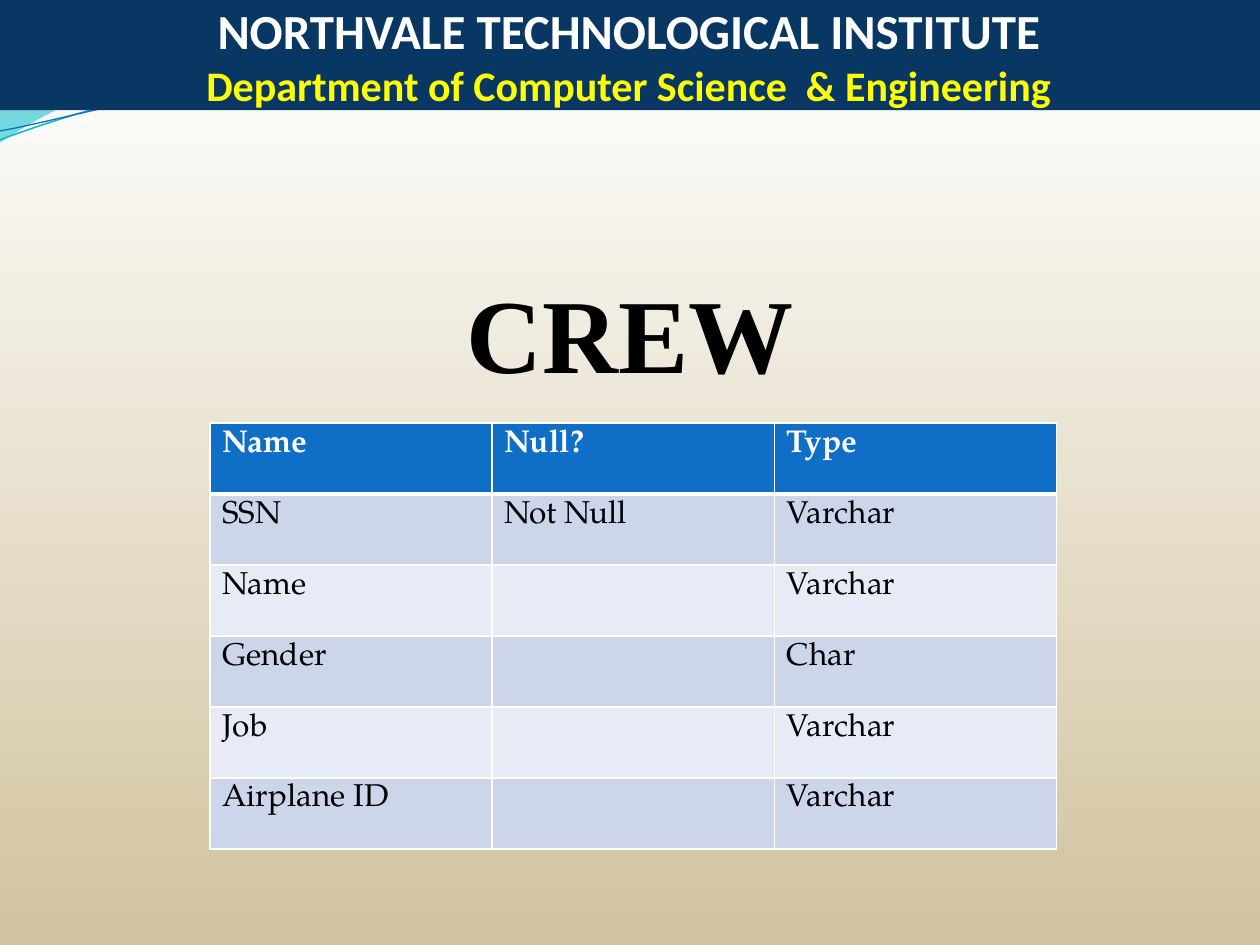
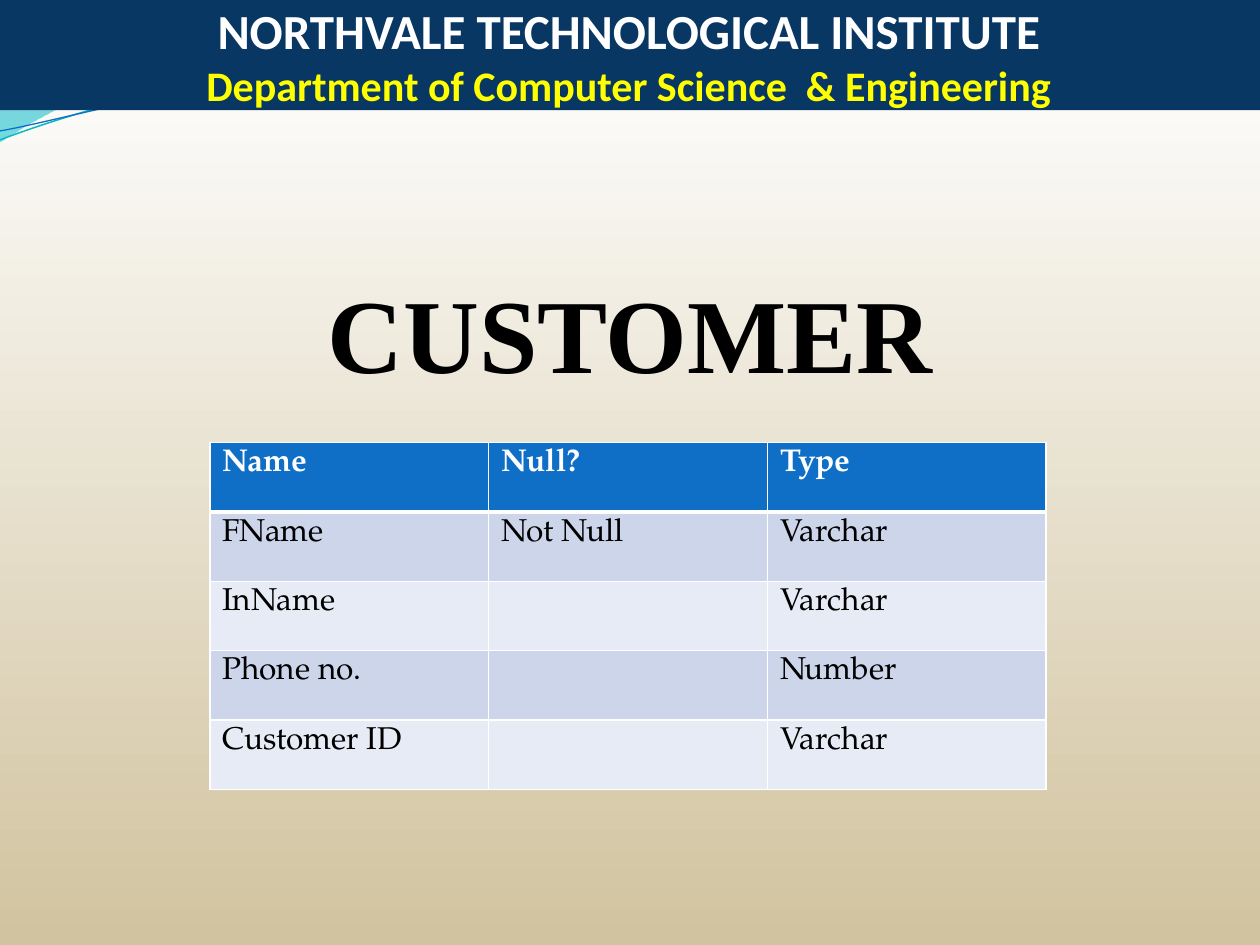
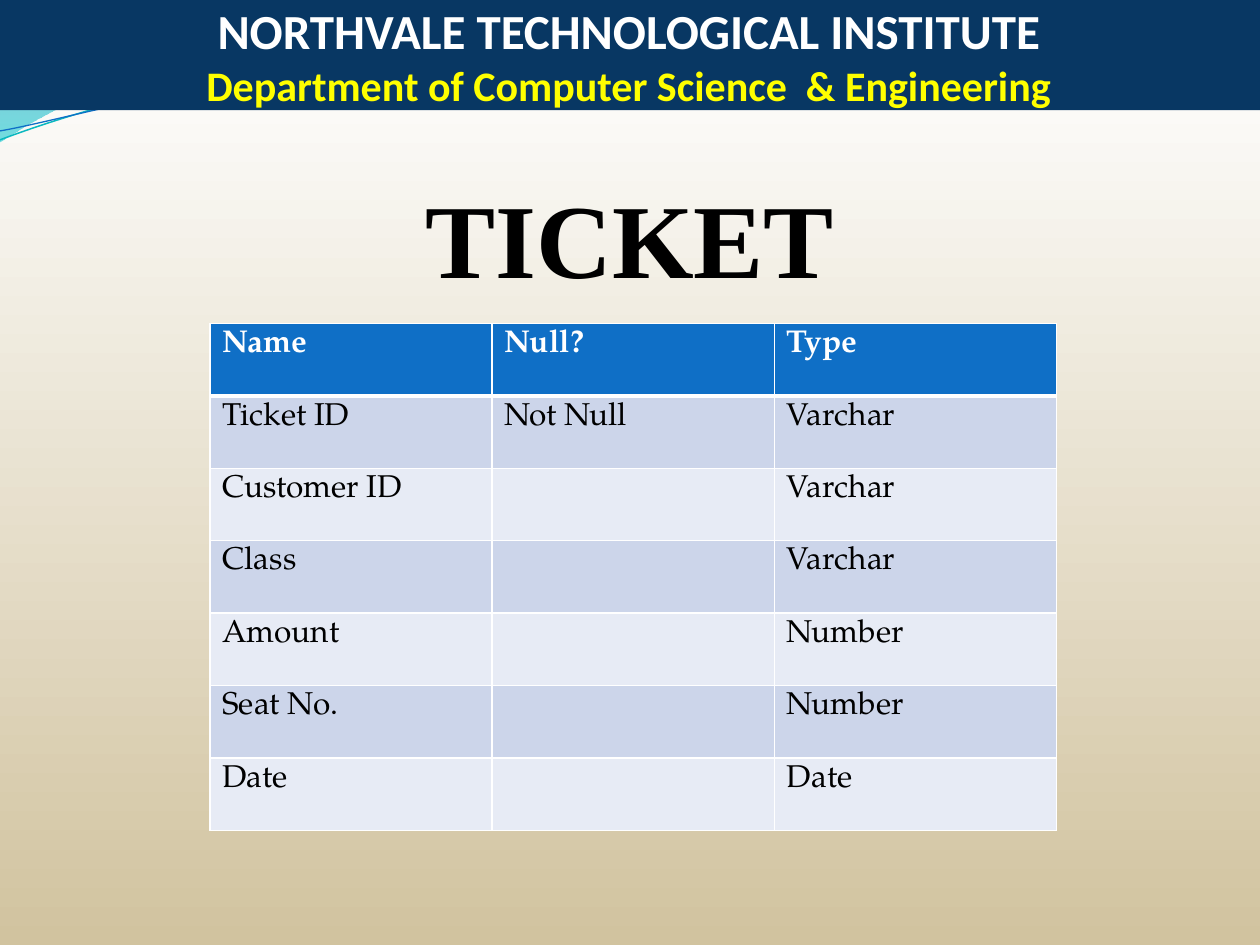
from dataclasses import dataclass
from math import cos, radians, sin

from lxml.etree import Element, SubElement
from pptx import Presentation
from pptx.dml.color import RGBColor
from pptx.enum.shapes import MSO_SHAPE
from pptx.enum.text import MSO_ANCHOR, PP_ALIGN
from pptx.oxml.ns import qn
from pptx.util import Cm, Pt


@dataclass(frozen=True)
class Theme:
    # Colours
    white: str = "FFFFFF"
    black: str = "000000"
    sand: str = "D1C39F"
    band: str = "083763"
    yellow: str = "FFFF00"
    blue: str = "0F6FC6"
    teal: str = "0AB8BF"
    # Gradient stops: position, colour, opacity in percent
    page_stops: tuple = ((0.03, "FFFFFF", 100), (1, "D1C39F", 100))
    wide_wave_stops: tuple = ((0, "0074A1", 45), (1, "00C6CF", 55))
    right_wave_stops: tuple = ((0, "00A1A9", 30), (0.8, "008BBF", 45))
    stripes: tuple = ("CCD5EA", "E7EBF5")
    # Fonts and type sizes
    band_font: str = "Calibri"
    heading_font: str = "Times New Roman"
    table_font: str = "TeX Gyre Pagella"
    institute_size: int = 28
    department_size: int = 24
    heading_size: int = 60
    table_size: int = 18


THEME = Theme()
PAGE_WIDTH, PAGE_HEIGHT = 25.4, 19.05
TABLE_LEFT = 4.23
COLUMNS = ("Name", "Null?", "Type")
LINE_TILT = 357.3

# Outlines in centimetres: two numbers are a straight step, six a Bézier curve
WIDE_WAVE = [
    (0, 0), (11.18, -0.03),
    (12.09, 0.43, 16.87, 1.6, 19.25, 1.6),
    (21.67, 1.6, 24.33, 0.66, 25.4, 0.23),
    (25.43, 0.91),
    (24.97, 1.12, 22.1, 1.93, 18.95, 1.91),
    (15.8, 1.91, 9.7, 0.71, 6.53, 0.86),
    (3.28, 0.91, 1.17, 2.11, -0.03, 2.87),
]
RIGHT_WAVE = [
    (12.17, -0.03),
    (12.93, 0.28, 17.32, 1.57, 19.53, 1.65),
    (21.74, 1.75, 24.41, 0.81, 25.4, 0.53),
    (25.4, 0),
]
TEAL_LINE = [
    (0, 2.82),
    (1.22, 2.36, 4.01, 1.45, 7.04, 1.32),
    (10.03, 1.19, 15.06, 2.26, 18.11, 2.03),
    (21.16, 1.8, 23.83, 0.38, 25.35, -0.05),
]
BLUE_LINE = [
    (0, 2.64),
    (1.19, 2.44, 4.17, 1.55, 7.19, 1.42),
    (10.24, 1.3, 15.16, 2.13, 18.21, 1.91),
    (21.23, 1.7, 23.9, 0.53, 25.4, 0.15),
]

# One entry per slide; each row is name, null rule, type
ENTITIES = [
    {
        "heading": "CREW", "heading_top": 5.28, "table_top": 8.53,
        "column_width": 5.69, "row_height": 1.43,
        "rows": [
            ("SSN", "Not Null", "Varchar"),
            ("Name", "", "Varchar"),
            ("Gender", "", "Char"),
            ("Job", "", "Varchar"),
            ("Airplane ID", "", "Varchar"),
        ],
    },
    {
        "heading": "CUSTOMER", "heading_top": 5.28, "table_top": 8.92,
        "column_width": 5.62, "row_height": 1.4,
        "rows": [
            ("FName", "Not Null", "Varchar"),
            ("InName", "", "Varchar"),
            ("Phone no.", "", "Number"),
            ("Customer ID", "", "Varchar"),
        ],
    },
    {
        "heading": "TICKET", "heading_top": 3.38, "table_top": 6.52,
        "column_width": 5.69, "row_height": 1.46,
        "rows": [
            ("Ticket ID", "Not Null", "Varchar"),
            ("Customer ID", "", "Varchar"),
            ("Class", "", "Varchar"),
            ("Amount", "", "Number"),
            ("Seat No.", "", "Number"),
            ("Date", "", "Date"),
        ],
    },
]


# Formatting helpers
def set_format(target, values):
    for name, value in values.items():
        setattr(target, name, value)


def fill_solid(fill, colour):
    fill.solid()
    fill.fore_color.rgb = RGBColor.from_string(colour)


def fill_gradient(fill, stops):
    """Fill from top to bottom."""
    fill.gradient()
    fill.gradient_angle = 270
    for stop, (position, colour, opacity) in zip(fill.gradient_stops, stops):
        stop.position = position
        stop.color.rgb = RGBColor.from_string(colour)
        if opacity < 100:
            tint = stop._gs.find(qn("a:srgbClr"))
            SubElement(tint, qn("a:alpha"), val=str(opacity * 1000))


def add_span(para, text, font, size, colour, bold=True):
    span = para.add_run()
    span.text = text
    set_format(span.font, {"name": font, "size": Pt(size), "bold": bold})
    span.font.color.rgb = RGBColor.from_string(colour)


def set_borders(cell, widths):
    properties = cell._tc.get_or_add_tcPr()
    for side, width in widths.items():
        line = SubElement(properties, qn(f"a:ln{side}"), w=str(Pt(width)))
        paint = SubElement(line, qn("a:solidFill"))
        SubElement(paint, qn("a:srgbClr"), val=THEME.white)


# Outlines
def turn(point, centre, angle):
    across, down = point[0] - centre[0], point[1] - centre[1]
    return (centre[0] + across * cos(angle) - down * sin(angle),
            centre[1] + across * sin(angle) + down * cos(angle))


def add_outline(page, outline, close, centre=(0, 0), rotation=0):
    """Draw the outline through its corners, then bend the curved parts."""
    angle = radians(-rotation)
    corners = [turn(part[i:i + 2], centre, angle)
               for part in outline for i in range(0, len(part), 2)]
    first, *rest = [(Cm(x), Cm(y)) for x, y in corners]
    builder = page.shapes.build_freeform(*first)
    builder.add_line_segments(rest, close=close)
    shape = builder.convert_to_shape()
    shape.shadow.inherit = False
    shape.rotation = rotation

    steps = iter(list(shape._element.iter(qn("a:lnTo"))))
    for part in outline[1:]:
        step = next(steps)
        if len(part) == 6:
            curve = Element(qn("a:cubicBezTo"))
            step.addprevious(curve)
            for handle in (step, next(steps), next(steps)):
                curve.append(handle[0])
                handle.getparent().remove(handle)
    return shape


def add_waves(page):
    for outline, stops in ((WIDE_WAVE, THEME.wide_wave_stops),
                           (RIGHT_WAVE, THEME.right_wave_stops)):
        wave = add_outline(page, outline, close=True)
        fill_gradient(wave.fill, stops)
        wave.line.fill.background()
    for outline, centre, colour, width in (
        (TEAL_LINE, (12.68, 1.46), THEME.teal, 0.85),
        (BLUE_LINE, (12.69, 1.5), THEME.blue, 0.75),
    ):
        curve = add_outline(page, outline, False, centre, LINE_TILT)
        curve.fill.background()
        fill_solid(curve.line.fill, colour)
        curve.line.width = Pt(width)


# Text and table
def add_band(page):
    band = page.shapes.add_shape(MSO_SHAPE.RECTANGLE, 0, 0, Cm(PAGE_WIDTH), Cm(2.22))
    band.shadow.inherit = False
    fill_solid(band.fill, THEME.band)
    band.line.fill.background()
    set_format(band.text_frame, {
        "word_wrap": True, "vertical_anchor": MSO_ANCHOR.BOTTOM,
        "margin_left": 0, "margin_top": 0, "margin_right": Cm(0.05), "margin_bottom": 0,
    })
    para = band.text_frame.paragraphs[0]
    para.alignment = PP_ALIGN.CENTER
    add_span(para, "NORTHVALE TECHNOLOGICAL INSTITUTE",
             THEME.band_font, THEME.institute_size, THEME.white)
    para.add_line_break()
    add_span(para, "Department of Computer Science  & Engineering",
             THEME.band_font, THEME.department_size, THEME.yellow)


def add_heading(page, text, top):
    width = 22.2
    box = page.shapes.add_textbox(Cm((PAGE_WIDTH - width) / 2), Cm(top), Cm(width), Cm(2.82))
    box.text_frame.word_wrap = True
    para = box.text_frame.paragraphs[0]
    para.alignment = PP_ALIGN.CENTER
    add_span(para, text, THEME.heading_font, THEME.heading_size, THEME.black)


def add_entity_table(page, entity):
    lines = [COLUMNS, *entity["rows"]]
    frame = page.shapes.add_table(
        len(lines), len(COLUMNS), Cm(TABLE_LEFT), Cm(entity["table_top"]),
        Cm(entity["column_width"] * len(COLUMNS)), Cm(entity["row_height"] * len(lines)),
    )
    table = frame.table
    for column in table.columns:
        column.width = Cm(entity["column_width"])
    for index, (row, texts) in enumerate(zip(table.rows, lines)):
        row.height = Cm(entity["row_height"])
        header = index == 0
        fill = THEME.blue if header else THEME.stripes[(index - 1) % 2]
        widths = {"L": 1, "R": 1, "T": 3 if index == 1 else 1, "B": 3 if header else 1}
        for cell, text in zip(row.cells, texts):
            set_borders(cell, widths)
            fill_solid(cell.fill, fill)
            if text:
                add_span(cell.text_frame.paragraphs[0], text, THEME.table_font,
                         THEME.table_size, THEME.white if header else THEME.black, header)


def main():
    deck = Presentation()
    set_format(deck, {"slide_width": Cm(PAGE_WIDTH), "slide_height": Cm(PAGE_HEIGHT)})
    fill_gradient(deck.slide_master.background.fill, THEME.page_stops)
    for entity in ENTITIES:
        page = deck.slides.add_slide(deck.slide_layouts[6])
        add_waves(page)
        add_band(page)
        add_heading(page, entity["heading"], entity["heading_top"])
        add_entity_table(page, entity)
    deck.save("out.pptx")


if __name__ == "__main__":
    main()
